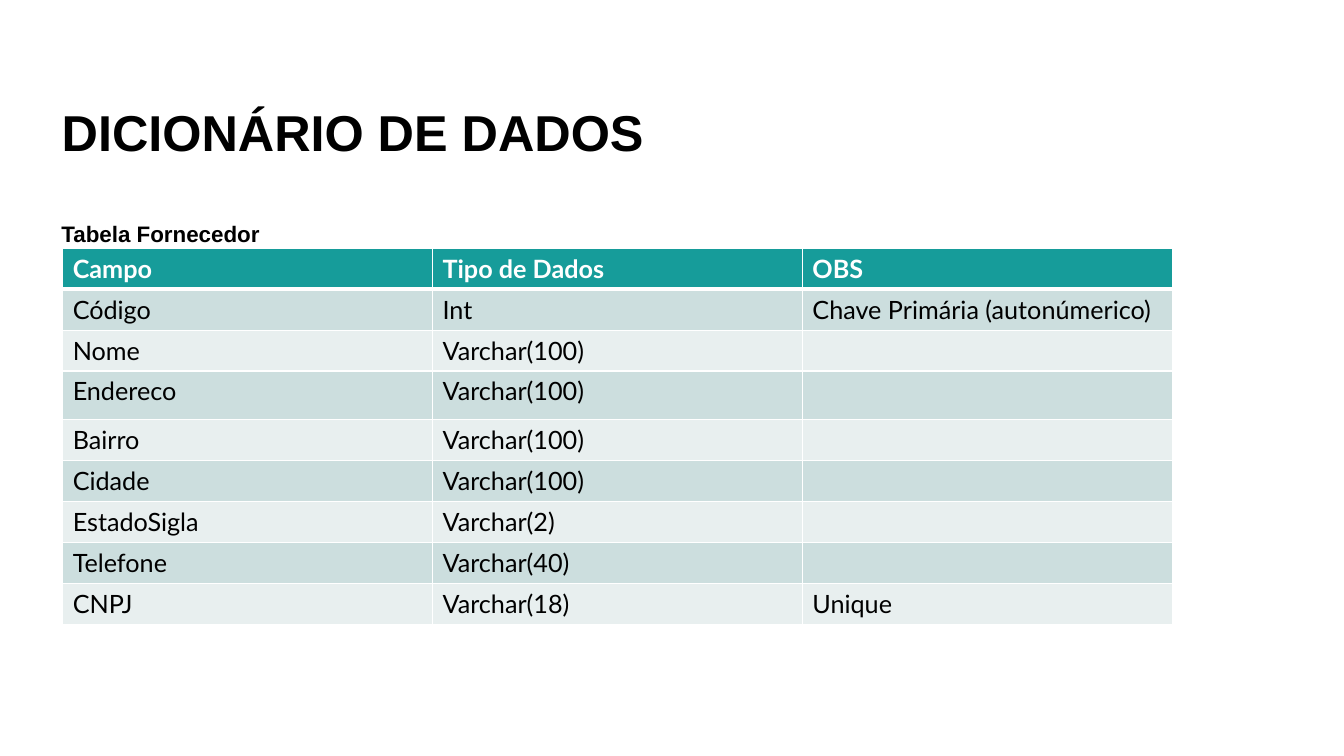
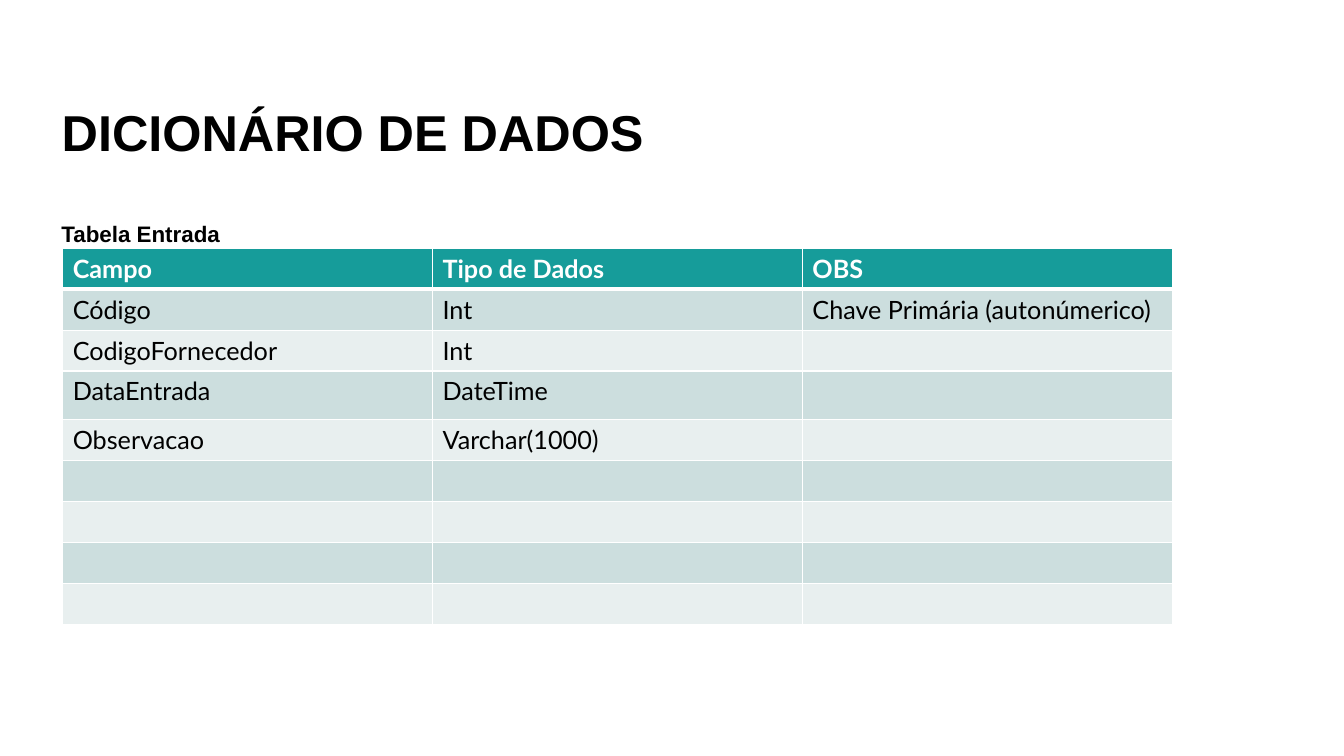
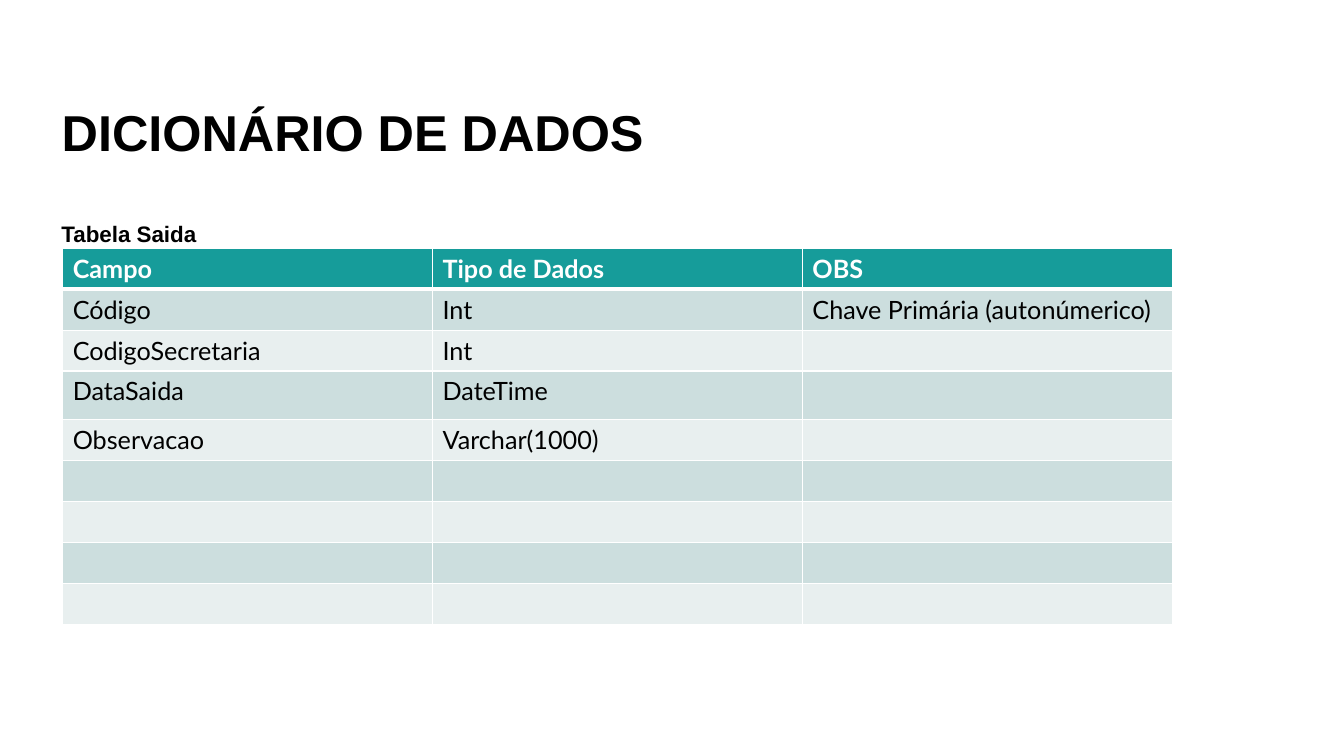
from dataclasses import dataclass

from lxml import etree
from pptx import Presentation
from pptx.dml.color import RGBColor
from pptx.enum.text import MSO_ANCHOR, MSO_AUTO_SIZE, PP_ALIGN
from pptx.oxml.ns import qn
from pptx.slide import Slide
from pptx.table import _Cell as Cell
from pptx.text.text import TextFrame, _Paragraph as Para
from pptx.util import Cm, Pt

LEFT = PP_ALIGN.LEFT
BOTTOM = MSO_ANCHOR.BOTTOM
NO_FIT = MSO_AUTO_SIZE.NONE
TITLE_ONLY = 5


# Theme and grid
@dataclass(frozen=True)
class Theme:
    black: str = "000000"
    white: str = "FFFFFF"
    teal: str = "169C9A"
    bands: tuple[str, str] = ("CCDEDE", "E8EFEF")
    head_font: str = "Arial"
    cell_font: str = "Lato"
    title_size: int = 36
    label_size: int = 16
    cell_size: int = 18
    thin: int = 1
    thick: int = 3


@dataclass(frozen=True)
class Box:
    left: float
    top: float
    width: float
    height: float

    def lengths(self) -> tuple[Cm, Cm, Cm, Cm]:
        return Cm(self.left), Cm(self.top), Cm(self.width), Cm(self.height)


@dataclass(frozen=True)
class Sheet:
    label: str
    rows: list[tuple[str, ...]]


THEME = Theme()
TITLE_BOX = Box(1.3, 0, 29.21, 4.23)
LABEL_BOX = Box(1.3, 2.12, 29.21, 4.23)
COL_WIDTH = 9.32
ROW_HEIGHT = 1.03
TALL_ROW, TALL_HEIGHT = 3, 1.23
ROW_COUNT = 9
TABLE_BOX = Box(1.58, 6.26, 3 * COL_WIDTH,
                (ROW_COUNT - 1) * ROW_HEIGHT + TALL_HEIGHT)

# Content
TITLE = "DICIONÁRIO DE DADOS"
HEADER = ("Campo", "Tipo de Dados", "OBS")
KEY = ("Código", "Int", "Chave Primária (autonúmerico)")
NOTE = ("Observacao", "Varchar(1000)")
SHEETS = [
    Sheet("Tabela Fornecedor", [
        KEY,
        ("Nome", "Varchar(100)"),
        ("Endereco", "Varchar(100)"),
        ("Bairro", "Varchar(100)"),
        ("Cidade", "Varchar(100)"),
        ("EstadoSigla", "Varchar(2)"),
        ("Telefone", "Varchar(40)"),
        ("CNPJ", "Varchar(18)", "Unique"),
    ]),
    Sheet("Tabela Entrada", [
        KEY,
        ("CodigoFornecedor", "Int"),
        ("DataEntrada", "DateTime"),
        NOTE,
    ]),
    Sheet("Tabela Saida", [
        KEY,
        ("CodigoSecretaria", "Int"),
        ("DataSaida", "DateTime"),
        NOTE,
    ]),
]


# Text
def add_run(para: Para, text: str, font: str, size: int,
            color: str, bold: bool) -> None:
    run = para.add_run()
    run.text = text
    run.font.name = font
    run.font.size = Pt(size)
    run.font.bold = bold
    run.font.color.rgb = RGBColor.from_string(color)


def add_heading(frame: TextFrame, text: str, size: int) -> None:
    frame.word_wrap = True
    frame.auto_size = NO_FIT
    frame.vertical_anchor = BOTTOM
    para = frame.paragraphs[0]
    para.alignment = LEFT
    para.line_spacing = 0.9
    para.space_before = Pt(25)
    add_run(para, text, THEME.head_font, size, THEME.black, True)


# Table
def add_border(cell: Cell, row: int) -> None:
    props = cell._tc.get_or_add_tcPr()
    thick = {(0, "lnB"), (1, "lnT")}
    for side in ("lnL", "lnR", "lnT", "lnB"):
        width = THEME.thick if (row, side) in thick else THEME.thin
        line = etree.SubElement(props, qn(f"a:{side}"), w=str(Pt(width)))
        fill = etree.SubElement(line, qn("a:solidFill"))
        etree.SubElement(fill, qn("a:srgbClr"), val=THEME.white)


def fill_cell(cell: Cell, row: int, text: str) -> None:
    head = row == 0
    add_border(cell, row)
    cell.fill.solid()
    color = THEME.teal if head else THEME.bands[(row - 1) % 2]
    cell.fill.fore_color.rgb = RGBColor.from_string(color)
    if text:
        add_run(cell.text_frame.paragraphs[0], text, THEME.cell_font,
                THEME.cell_size, THEME.white if head else THEME.black, head)


def add_grid(slide: Slide, rows: list[tuple[str, ...]]) -> None:
    table = slide.shapes.add_table(
        ROW_COUNT, len(HEADER), *TABLE_BOX.lengths()).table
    for col in table.columns:
        col.width = Cm(COL_WIDTH)
    lines = [HEADER, *rows]
    for i, row in enumerate(table.rows):
        row.height = Cm(TALL_HEIGHT if i == TALL_ROW else ROW_HEIGHT)
        texts = lines[i] if i < len(lines) else ()
        for j, cell in enumerate(row.cells):
            fill_cell(cell, i, texts[j] if j < len(texts) else "")


# Slides
def add_sheet(deck: Presentation, sheet: Sheet) -> None:
    slide = deck.slides.add_slide(deck.slide_layouts[TITLE_ONLY])
    title = slide.shapes.title
    title.left, title.top, title.width, title.height = TITLE_BOX.lengths()
    add_heading(title.text_frame, TITLE, THEME.title_size)
    add_grid(slide, sheet.rows)
    label = slide.shapes.add_textbox(*LABEL_BOX.lengths())
    add_heading(label.text_frame, sheet.label, THEME.label_size)


def main() -> None:
    deck = Presentation()
    deck.slide_width, deck.slide_height = Cm(33.87), Cm(19.05)
    for sheet in SHEETS:
        add_sheet(deck, sheet)
    deck.save("out.pptx")


if __name__ == "__main__":
    main()
